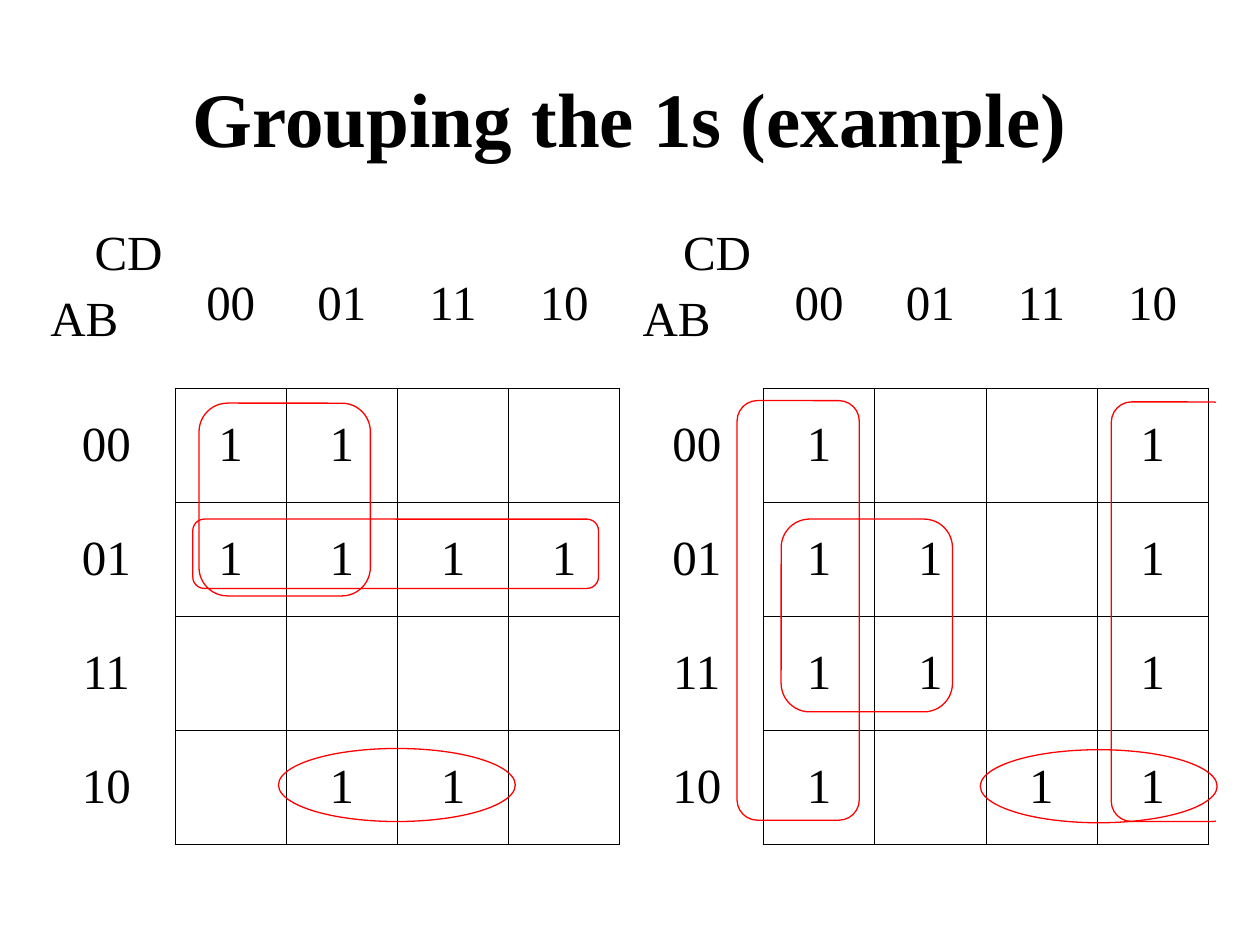
from dataclasses import dataclass

from pptx import Presentation
from pptx.dml.color import RGBColor
from pptx.enum.shapes import MSO_SHAPE
from pptx.enum.text import MSO_ANCHOR, PP_ALIGN
from pptx.oxml.xmlchemy import OxmlElement
from pptx.util import Inches, Pt

LEFT, CENTER, RIGHT = PP_ALIGN.LEFT, PP_ALIGN.CENTER, PP_ALIGN.RIGHT
TOP, MIDDLE = MSO_ANCHOR.TOP, MSO_ANCHOR.MIDDLE
ROUND, OVAL, RECT = MSO_SHAPE.ROUNDED_RECTANGLE, MSO_SHAPE.OVAL, MSO_SHAPE.RECTANGLE


@dataclass(frozen=True)
class Theme:
    font: str = "Times New Roman"
    ink: str = "000000"
    paper: str = "FFFFFF"
    ring: str = "FF0000"
    title: int = 44
    body: int = 28
    grid: float = 0.45
    loop: float = 0.75


THEME = Theme()
CODES = ["00", "01", "11", "10"]  # Gray code order on both axes
HEAD = 1.33  # height of the header row


def write(frame, *lines, size=THEME.body, bold=False, aligns=(CENTER,), gap=7):
    """Write one paragraph per line, with its own alignment."""
    for i, (line, align) in enumerate(zip(lines, aligns)):
        para = frame.paragraphs[0] if i == 0 else frame.add_paragraph()
        para.text = line
        para.alignment = align
        if i:
            para.space_before = Pt(gap)
        font = para.font
        font.name, font.size, font.bold = THEME.font, Pt(size), bold
        font.color.rgb = RGBColor.from_string(THEME.ink)


def border(cell, sides):
    """Rule the named sides of a cell and clear the others."""
    props = cell._tc.get_or_add_tcPr()
    for side in "LRTB":
        line = OxmlElement(f"a:ln{side}")
        line.set("w", str(Pt(THEME.grid)))
        if side in sides:
            fill = OxmlElement("a:solidFill")
            color = OxmlElement("a:srgbClr")
            color.set("val", THEME.ink)
            fill.append(color)
        else:
            fill = OxmlElement("a:noFill")
        line.append(fill)
        props.append(line)
    cell.fill.background()


def title(slide, box, text):
    frame = slide.shapes.add_textbox(*map(Inches, box)).text_frame
    frame.word_wrap = True
    frame.vertical_anchor = MIDDLE
    write(frame, text, size=THEME.title, bold=True)


def kmap(slide, box, side, ones):
    """Place a Karnaugh map whose label column is `side` inches wide."""
    width, height = box[2:]
    count = len(CODES)
    table = slide.shapes.add_table(count + 1, count + 1, *map(Inches, box)).table
    table.first_row = table.horz_banding = False
    for i in range(count + 1):
        table.columns[i].width = Inches((width - side) / count if i else side)
        table.rows[i].height = Inches((height - HEAD) / count if i else HEAD)

    for row in range(count + 1):
        for col in range(count + 1):
            cell = table.cell(row, col)
            cell.vertical_anchor = MIDDLE if row or col else TOP
            if row and col:
                border(cell, "LRTB")
                if ones[row - 1][col - 1] == "1":
                    write(cell.text_frame, "1")
            elif row or col:
                border(cell, "R" if row else "B")
                write(cell.text_frame, CODES[max(row, col) - 1])
            else:
                border(cell, "")
                write(cell.text_frame, "CD", "AB", aligns=(RIGHT, LEFT))


def mark(slide, box, kind, x, y, w, h):
    """Place a loop, or a plain mask, at an offset from the map's corner."""
    place = map(Inches, (box[0] + x, box[1] + y, w, h))
    shape = slide.shapes.add_shape(kind, *place)
    shape.shadow.inherit = False
    if kind == RECT:
        shape.fill.solid()
        shape.fill.fore_color.rgb = RGBColor.from_string(THEME.paper)
        shape.line.fill.background()
    else:
        shape.fill.background()
        shape.line.color.rgb = RGBColor.from_string(THEME.ring)
        shape.line.width = Pt(THEME.loop)


def main():
    deck = Presentation()
    deck.slide_width, deck.slide_height = Inches(10), Inches(7.5)
    slide = deck.slides.add_slide(deck.slide_layouts[6])
    title(slide, (0.5, 0.3, 9, 1.25), "Grouping the 1s (example)")

    # Both maps: box, label column width, ones by row, loops
    maps = [
        ((0.3, 1.75, 4.62, 4.95), 1.09, ["11..", "1111", "....", ".11."], [
            (ROUND, 1.28, 1.45, 1.36, 1.53),
            (ROUND, 1.23, 2.37, 3.22, 0.55),
            (OVAL, 1.91, 4.19, 1.88, 0.58),
        ]),
        ((5, 1.75, 4.59, 4.95), 1.06, ["1..1", "11.1", "11.1", "1.11"], [
            (ROUND, 0.85, 1.43, 0.97, 3.33),
            (ROUND, 3.82, 1.44, 0.97, 3.33),
            (RECT, 4.65, 1.31, 0.25, 3.53),  # opens the wrapping loop
            (ROUND, 1.2, 2.37, 1.36, 1.53),
            (OVAL, 2.78, 4.2, 1.88, 0.58),
        ]),
    ]
    for box, side, ones, _ in maps:
        kmap(slide, box, side, ones)
    for box, _, _, loops in maps:
        for loop in loops:
            mark(slide, box, *loop)
    deck.save("out.pptx")


if __name__ == "__main__":
    main()
